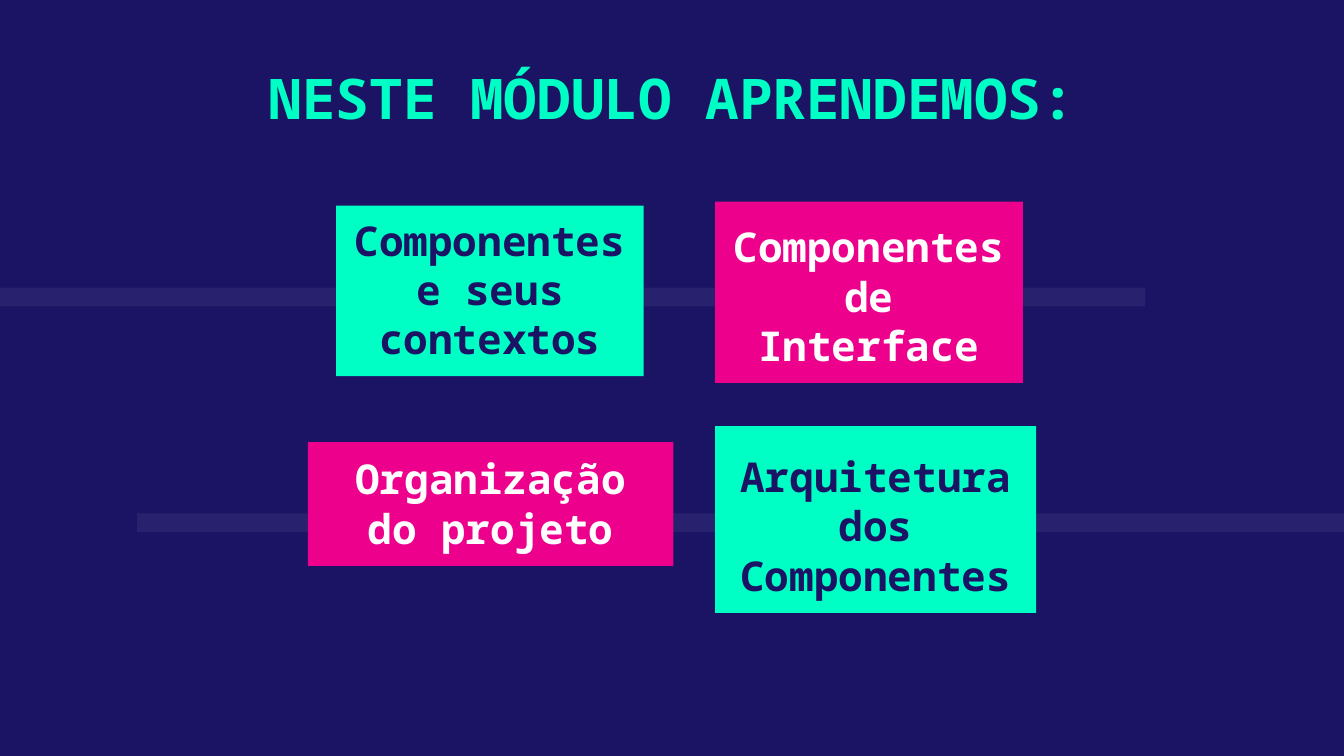
import pptx
import pptx.dml.color
import pptx.enum.shapes
import pptx.enum.text
import pptx.oxml.ns
import pptx.util
from lxml import etree
from pptx.util import Inches

FONT = "Noto Sans Mono"
NAVY, MINT, PINK, WHITE = "1B1464", "00FFC5", "EC008C", "FFFFFF"


def set_color(target, color):
    """Paint a fill or a font with a hex colour."""
    if hasattr(target, "solid"):
        target.solid()
        target.fore_color.rgb = pptx.dml.color.RGBColor.from_string(color)
    else:
        target.color.rgb = pptx.dml.color.RGBColor.from_string(color)


def add_rectangle(slide, box, color):
    shape = slide.shapes.add_shape(
        pptx.enum.shapes.MSO_SHAPE.RECTANGLE, *map(Inches, box))
    shape.shadow.inherit = False
    shape.line.fill.background()
    set_color(shape.fill, color)
    return shape


def add_stripe(slide, box, opacity):
    stripe = add_rectangle(slide, box, WHITE)
    color = stripe.fill._xPr.find(".//" + pptx.oxml.ns.qn("a:srgbClr"))
    alpha = etree.SubElement(color, pptx.oxml.ns.qn("a:alpha"))
    alpha.set("val", str(opacity * 1000))


def write_text(shape, text, size, color, anchor):
    frame = shape.text_frame
    frame.word_wrap = True
    frame.auto_size = pptx.enum.text.MSO_AUTO_SIZE.NONE
    frame.vertical_anchor = anchor
    frame.margin_left = frame.margin_right = Inches(0.1)
    frame.margin_top = frame.margin_bottom = Inches(0.1)
    paragraph = frame.paragraphs[0]
    paragraph.alignment = pptx.enum.text.PP_ALIGN.CENTER
    run = paragraph.add_run()
    run.text = text
    run.font.name = FONT
    run.font.size = pptx.util.Pt(size)
    run.font.bold = True
    set_color(run.font, color)


def add_card(slide, text, box, fill, color):
    card = add_rectangle(slide, box, fill)
    write_text(card, text, 22, color, pptx.enum.text.MSO_ANCHOR.BOTTOM)


def place_title(slide, text, box):
    title = slide.shapes.title
    title.left, title.top, title.width, title.height = map(Inches, box)
    write_text(title, text, 30, MINT, pptx.enum.text.MSO_ANCHOR.TOP)


def main():
    presentation = pptx.Presentation()
    presentation.slide_width = Inches(10)
    presentation.slide_height = Inches(10 * 9 / 16)
    slide = presentation.slides.add_slide(presentation.slide_layouts[5])
    set_color(slide.background.fill, NAVY)

    # Faint stripes behind the two rows
    add_stripe(slide, (0, 2.14, 8.52, 0.14), 6)
    add_stripe(slide, (1.02, 3.82, 8.98, 0.14), 6)

    # Topic cards
    cards = [
        ("Arquitetura dos Componentes", (5.32, 3.17, 2.39, 1.39), MINT, NAVY),
        ("Componentes e seus contextos", (2.5, 1.53, 2.29, 1.27), MINT, NAVY),
        ("Componentes de Interface", (5.32, 1.5, 2.29, 1.35), PINK, WHITE),
        ("Organização do projeto", (2.29, 3.29, 2.72, 0.92), PINK, WHITE),
    ]
    for card in cards:
        add_card(slide, *card)

    # Heading
    place_title(slide, "NESTE MÓDULO APRENDEMOS:", (1.4, 0.37, 7.2, 0.73))
    presentation.save("out.pptx")


main()
